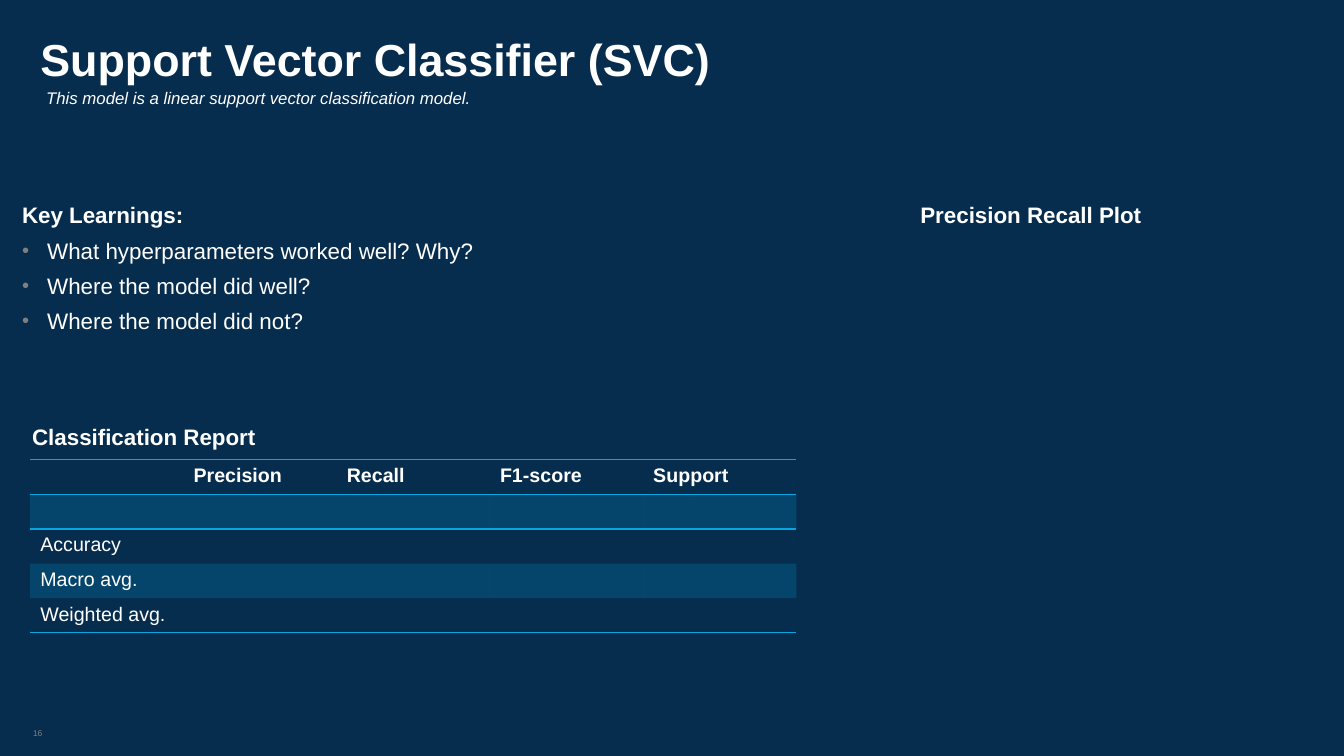
import pptx
import pptx.util
import pptx.dml.color
import pptx.enum.text
import pptx.oxml
import pptx.oxml.ns
from dataclasses import dataclass
from lxml import etree

Inches = pptx.util.Inches
Pt = pptx.util.Pt
RGB = pptx.dml.color.RGBColor.from_string
qn = pptx.oxml.ns.qn
ANCHOR = pptx.enum.text.MSO_ANCHOR
ALIGN = pptx.enum.text.PP_ALIGN


@dataclass
class Theme:
    font: str = "Arial"
    background: str = "072D4E"
    text: str = "FFFFFF"
    muted: str = "808080"
    accent: str = "06A7E0"
    title: int = 32
    body: int = 16
    table: int = 14
    subtitle: int = 12
    number: int = 6


theme = Theme()


def add_run(p, text, size, color=theme.text, bold=False, italic=False):
    r = p.add_run()
    r.text = text
    r.font.name = theme.font
    r.font.size = Pt(size)
    r.font.bold = bold
    r.font.italic = italic
    r.font.color.rgb = RGB(color)


def add_box(slide, left, top, width, height, margins=(0.1, 0.1, 0.2, 0.1)):
    tf = slide.shapes.add_textbox(
        Inches(left), Inches(top), Inches(width), Inches(height)).text_frame
    tf.word_wrap = True
    tf.margin_left, tf.margin_top, tf.margin_right, tf.margin_bottom = map(Inches, margins)
    return tf


prs = pptx.Presentation()
prs.slide_width = Inches(13.33)
prs.slide_height = Inches(7.5)
s = prs.slides.add_slide(prs.slide_layouts[5])
s.background.fill.solid()
s.background.fill.fore_color.rgb = RGB(theme.background)

title = s.shapes.title
title.left, title.top = Inches(0.3), Inches(0.25)
title.width, title.height = Inches(12.75), Inches(0.6)
tf = title.text_frame
tf.auto_size = pptx.enum.text.MSO_AUTO_SIZE.NONE
tf.vertical_anchor = ANCHOR.BOTTOM
tf.margin_left, tf.margin_top, tf.margin_right, tf.margin_bottom = map(Inches, (0.1, 0.05, 0.16, 0))
p = tf.paragraphs[0]
p.alignment = ALIGN.LEFT
add_run(p, "Support Vector Classifier (SVC)", theme.title, bold=True)

tf = add_box(s, 0.12, 7.17, 0.36, 0.21, (0.06, 0.06, 0.06, 0.06))
p = tf.paragraphs[0]
p.alignment = ALIGN.RIGHT
add_run(p, "16", theme.number, theme.muted)

tf = add_box(s, 0.36, 0.77, 6.74, 0.4)
add_run(tf.paragraphs[0], "This model is a linear support vector classification model.",
        theme.subtitle, italic=True)

for heading, left, top, width in [
    ("Classification Report", 0.22, 4.1, 2.71),
    ("Precision Recall Plot", 9.03, 1.9, 3.59),
]:
    tf = add_box(s, left, top, width, 0.47)
    add_run(tf.paragraphs[0], heading, theme.body, bold=True)

tf = add_box(s, 0.12, 1.9, 6.55, 1.53)
p = tf.paragraphs[0]
p.space_after = Pt(6)
add_run(p, "Key Learnings:", theme.body, bold=True)
for question in [
    "What hyperparameters worked well? Why?",
    "Where the model did well?",
    "Where the model did not?",
]:
    p = tf.add_paragraph()
    p.space_after = Pt(6)
    pPr = p._p.get_or_add_pPr()
    pPr.set("marL", str(Inches(0.25)))
    pPr.set("indent", str(-Inches(0.25)))
    color = etree.SubElement(pPr, qn("a:buClr"))
    etree.SubElement(color, qn("a:srgbClr"), val=theme.muted)
    etree.SubElement(pPr, qn("a:buSzPct"), val="90000")
    etree.SubElement(pPr, qn("a:buFont"), typeface=theme.font)
    etree.SubElement(pPr, qn("a:buChar"), char="•")
    add_run(p, question, theme.body)

rows = [
    ["", "Precision", "Recall", "F1-score", "Support"],
    [""] * 5,
    ["Accuracy"] + [""] * 4,
    ["Macro avg."] + [""] * 4,
    ["Weighted avg."] + [""] * 4,
]
ruled_edges = {0: ["a:lnT", "a:lnB"], 1: ["a:lnT"], len(rows) - 1: ["a:lnB"]}
table = s.shapes.add_table(
    len(rows), 5, Inches(0.3), Inches(4.56), Inches(7.6), Inches(1.72)).table
table.horz_banding = False
table._tbl.tblPr.find(qn("a:tableStyleId")).text = "{2D5ABB26-0587-4C30-8999-92F81FD0307C}"
for i, row in enumerate(rows):
    for j, text in enumerate(row):
        cell = table.cell(i, j)
        p = cell.text_frame.paragraphs[0]
        if text:
            add_run(p, text, theme.table, bold=i == 0)
        else:
            etree.SubElement(p._p, qn("a:endParaRPr"), sz=str(theme.table * 100))
        tcPr = cell._tc.get_or_add_tcPr()
        for edge in ruled_edges.get(i, []):
            ln = etree.SubElement(tcPr, qn(edge), w=str(Pt(1)))
            fill = etree.SubElement(ln, qn("a:solidFill"))
            etree.SubElement(fill, qn("a:srgbClr"), val=theme.accent)
        if i % 2:
            cell.fill.solid()
            cell.fill.fore_color.rgb = RGB(theme.accent)
            color = tcPr.find(qn("a:solidFill")).find(qn("a:srgbClr"))
            etree.SubElement(color, qn("a:alpha"), val="20000")
        else:
            cell.fill.background()

prs.save("out.pptx")
